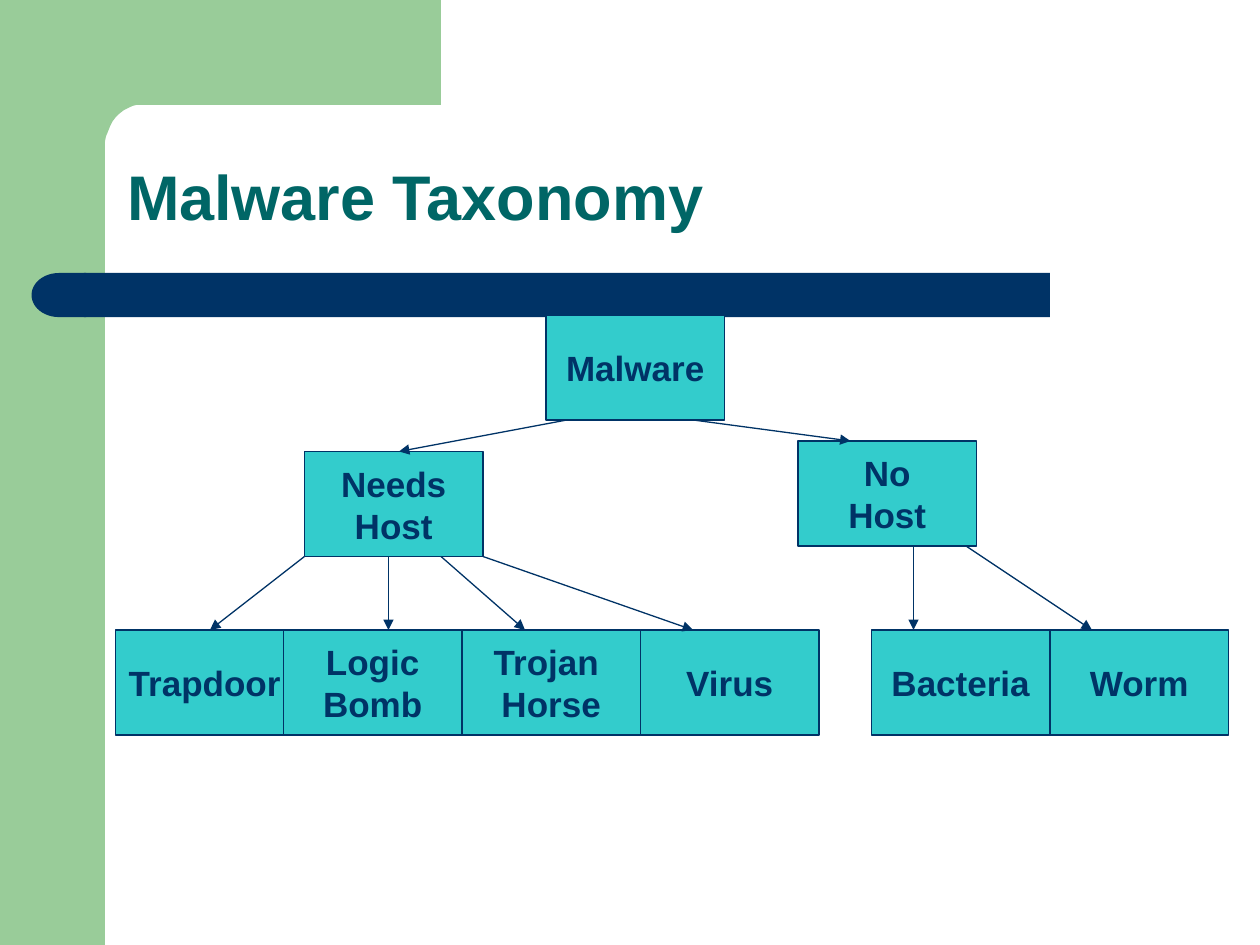
"""Build the Malware Taxonomy slide: a three-level tree on a green and navy frame."""
from dataclasses import dataclass
from math import cos, pi, sin

from lxml.etree import SubElement
from pptx import Presentation
from pptx.dml.color import RGBColor as Rgb
from pptx.enum.shapes import MSO_CONNECTOR as Connector, MSO_SHAPE as Preset
from pptx.enum.text import MSO_ANCHOR as Anchor, MSO_AUTO_SIZE as AutoSize, PP_ALIGN as Align
from pptx.oxml.ns import qn
from pptx.util import Pt

PX = 7620


@dataclass(frozen=True)
class Theme:
    green: Rgb = Rgb.from_string("99CC99")
    navy: Rgb = Rgb.from_string("003366")
    teal: Rgb = Rgb.from_string("006666")
    aqua: Rgb = Rgb.from_string("33CCCC")
    font: str = "Arial"
    title_size: Pt = Pt(36)
    node_size: Pt = Pt(20)
    line_width: Pt = Pt(0.75)


def add_block(preset, box, color):
    shape = slide.shapes.add_shape(preset, *(value * PX for value in box))
    shape.shadow.inherit = False
    shape.fill.solid()
    shape.fill.fore_color.rgb = color
    shape.line.fill.background()
    return shape


def add_text(paragraph, text, size, color):
    run = paragraph.add_run()
    run.text = text
    run.font.name = theme.font
    run.font.size = size
    run.font.bold = True
    run.font.color.rgb = color


theme = Theme()
presentation = Presentation()
presentation.slide_width = 1200 * PX
presentation.slide_height = 900 * PX
slide = presentation.slides.add_slide(presentation.slide_layouts[5])

add_block(Preset.RECTANGLE, (0, 0, 100, 900), theme.green)

ARC_STEPS = 12
angles = [pi / 2 * step / ARC_STEPS for step in range(ARC_STEPS + 1)]
inner_corner = [(round(135 - 35 * sin(angle)), round(140 - 40 * cos(angle))) for angle in angles]
builder = slide.shapes.build_freeform(420, 0, scale=PX)
builder.add_line_segments([(420, 100), *inner_corner, (100, 154), (60, 154), (60, 0)], close=True)
corner = builder.convert_to_shape()
corner.shadow.inherit = False
corner.fill.solid()
corner.fill.fore_color.rgb = theme.green
corner.line.fill.background()

add_block(Preset.RECTANGLE, (80, 260, 920, 42), theme.navy)
bar_end = add_block(Preset.FLOWCHART_DELAY, (30, 260, 52, 42), theme.navy)
bar_end.rotation = 180

title = slide.shapes.title
slide.shapes.element.append(title.element)
title.left, title.top, title.width, title.height = (value * PX for value in (109, 109, 1021, 120))
title.text_frame.auto_size = AutoSize.NONE
title.text_frame.vertical_anchor = Anchor.BOTTOM
heading = title.text_frame.paragraphs[0]
heading.alignment = Align.LEFT
heading.line_spacing = 0.9
add_text(heading, "Malware Taxonomy", theme.title_size, theme.teal)

NODE_WIDTH, NODE_HEIGHT = 170, 100
LEAF_TOP, NEEDS_HOST_TOP, NO_HOST_TOP, ROOT_TOP = 600, 430, 420, 300
nodes = [
    (110, LEAF_TOP, ["Trapdoor"]),
    (440, LEAF_TOP, ["Trojan ", "Horse"]),
    (270, LEAF_TOP, ["Logic", "Bomb"]),
    (610, LEAF_TOP, ["Virus"]),
    (1000, LEAF_TOP, ["Worm"]),
    (830, LEAF_TOP, ["Bacteria"]),
    (760, NO_HOST_TOP, ["No", "Host"]),
    (290, NEEDS_HOST_TOP, ["Needs", "Host"]),
    (520, ROOT_TOP, ["Malware"]),
]
for left, top, lines in nodes:
    node = add_block(Preset.RECTANGLE, (left, top, NODE_WIDTH, NODE_HEIGHT), theme.aqua)
    node.line.color.rgb = theme.navy
    node.line.width = theme.line_width
    frame = node.text_frame
    frame.word_wrap = False
    frame.vertical_anchor = Anchor.MIDDLE
    for index, text in enumerate(lines):
        paragraph = frame.add_paragraph() if index else frame.paragraphs[0]
        paragraph.alignment = Align.CENTER
        add_text(paragraph, text, theme.node_size, theme.navy)

branches = [
    (ROOT_TOP, 540, NEEDS_HOST_TOP, 380),
    (ROOT_TOP, 660, NO_HOST_TOP, 810),
    (NEEDS_HOST_TOP, 290, LEAF_TOP, 200),
    (NEEDS_HOST_TOP, 370, LEAF_TOP, 370),
    (NEEDS_HOST_TOP, 420, LEAF_TOP, 500),
    (NEEDS_HOST_TOP, 460, LEAF_TOP, 660),
    (NO_HOST_TOP, 870, LEAF_TOP, 870),
    (NO_HOST_TOP, 920, LEAF_TOP, 1040),
]
for parent_top, start_x, child_top, end_x in branches:
    ends = (start_x, parent_top + NODE_HEIGHT, end_x, child_top)
    arrow = slide.shapes.add_connector(Connector.STRAIGHT, *(value * PX for value in ends))
    arrow.line.color.rgb = theme.navy
    arrow.line.width = theme.line_width
    SubElement(arrow.line._get_or_add_ln(), qn("a:tailEnd"), type="triangle")
    SubElement(arrow.element.spPr, qn("a:effectLst"))

presentation.save("out.pptx")
